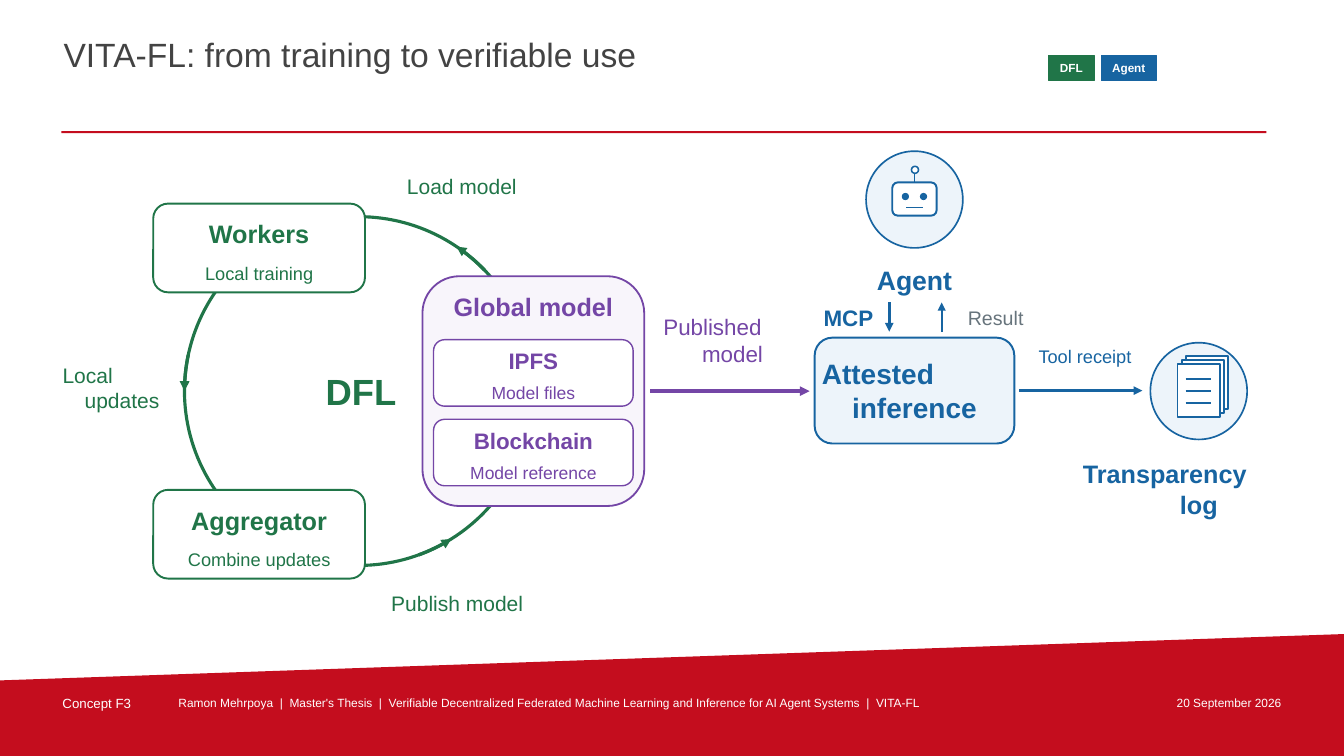
from dataclasses import dataclass
from itertools import pairwise
from math import cos, radians, sin

from lxml.etree import SubElement
from pptx import Presentation
from pptx.dml.color import RGBColor as RGB
from pptx.enum.shapes import MSO_CONNECTOR as Link, MSO_SHAPE as Kind
from pptx.enum.text import MSO_ANCHOR as Anchor, PP_ALIGN as Align
from pptx.oxml.ns import qn
from pptx.util import Inches, Pt


@dataclass(frozen=True)
class Theme:
    font: str = "Arial"
    red: str = "C40D1E"
    ink: str = "434343"
    gray: str = "67747C"
    green: str = "207548"
    blue: str = "1764A1"
    sky: str = "EDF4FA"
    plum: str = "7446A6"
    haze: str = "F8F5FB"
    white: str = "FFFFFF"
    title: float = 24
    hero: float = 26
    lead: float = 20
    name: float = 19
    head: float = 18
    sub: float = 16
    label: float = 15
    reply: float = 14
    note: float = 13
    small: float = 12.5
    mark: float = 9.5
    foot: float = 8.5
    tag: float = 8.4


T = Theme()


# Basic parts
def write(frame, words, size, color, bold=False, align=Align.CENTER,
          anchor=Anchor.MIDDLE, inset=0.0):
    """Fill a frame; in a stepped label every row but the last sits left."""
    frame.word_wrap = True
    frame.vertical_anchor = anchor
    frame.margin_left = frame.margin_right = Inches(inset)
    frame.margin_top = frame.margin_bottom = Inches(inset)
    rows = words.split("\n")
    for i, row in enumerate(rows):
        para = frame.paragraphs[0] if i == 0 else frame.add_paragraph()
        para.text = row
        para.alignment = align if i == len(rows) - 1 else Align.LEFT
        font = para.font
        font.name, font.size, font.bold = T.font, Pt(size), bold
        font.color.rgb = RGB.from_string(color)


def text(page, x, y, w, h, words, size, color, **style):
    box = page.shapes.add_textbox(Inches(x), Inches(y), Inches(w), Inches(h))
    write(box.text_frame, words, size, color, **style)


def paint(item, fill, edge=None, width=1.0):
    item.shadow.inherit = False
    item.fill.solid()
    item.fill.fore_color.rgb = RGB.from_string(fill)
    if edge:
        item.line.color.rgb = RGB.from_string(edge)
        item.line.width = Pt(width)
    else:
        item.line.fill.background()


def shape(page, kind, x, y, w, h, fill, edge=None, width=1.0):
    item = page.shapes.add_shape(kind, Inches(x), Inches(y), Inches(w), Inches(h))
    paint(item, fill, edge, width)
    return item


def line(page, start, end, color, width, head=False):
    ends = [Inches(v) for v in (*start, *end)]
    item = page.shapes.add_connector(Link.STRAIGHT, *ends)
    item.line.color.rgb = RGB.from_string(color)
    item.line.width = Pt(width)
    props = item._element.spPr
    if head:
        SubElement(props.find(qn("a:ln")), qn("a:tailEnd"), type="triangle")
    SubElement(props, qn("a:effectLst"))


# Title, tags and rule
def header(page, x, y, w):
    title = page.shapes.title
    title.left, title.top = Inches(x), Inches(y)
    title.width, title.height = Inches(9.65), Inches(0.62)
    write(title.text_frame, "VITA-FL: from training to verifiable use", T.title,
          T.ink, align=Align.LEFT, anchor=Anchor.TOP, inset=0.02)
    shape(page, Kind.RECTANGLE, x, y + 0.98, w, 0.02, T.red)
    for dx, wide, words, color in ((9.79, 0.45, "DFL", T.green),
                                   (10.31, 0.55, "Agent", T.blue)):
        tag = shape(page, Kind.RECTANGLE, x + dx, y + 0.23, wide, 0.25,
                    color, color, 0.55)
        write(tag.text_frame, words, T.tag, T.white, bold=True)


# Slanted footer band
def footer(page, y, w, h):
    edge = [(w, y), (w, y + h), (0, y + h)]
    pen = page.shapes.build_freeform(0, Inches(y + 0.46))
    pen.add_line_segments([(Inches(a), Inches(b)) for a, b in edge])
    paint(pen.convert_to_shape(), T.red)
    for x, wide, words, size, align in (
            (0.6, 1, "Concept F3", T.mark, Align.LEFT),
            (1.75, 9.35, "Ramon Mehrpoya  |  Master's Thesis  |  Verifiable "
             "Decentralized Federated Machine Learning and Inference for AI "
             "Agent Systems  |  VITA-FL", T.foot, Align.LEFT),
            (11.2, 1.53, "20 September 2026", T.foot, Align.RIGHT)):
        text(page, x, y + 0.59, wide, 0.22, words, size, T.white,
             align=align, anchor=Anchor.TOP, inset=0.02)


# Training loop around a ring
def cycle(page, x, y, size):
    r = size / 2
    mx, my = x + r, y + r
    shape(page, Kind.OVAL, x, y, size, size, T.white, T.green, 2.25)
    sweep, steps = 12, 8
    for first in (192, 70, -44):
        turns = [radians(first - sweep * i / steps) for i in range(steps + 1)]
        dots = [(mx + r * cos(a), my + r * sin(a)) for a in turns]
        for i, (start, end) in enumerate(pairwise(dots), 1):
            line(page, start, end, T.green, 2.35, head=i == steps)
    for top, name, task in ((y - 0.13, "Workers", "Local training"),
                            (y + 2.71, "Aggregator", "Combine updates")):
        left = x - 0.31
        shape(page, Kind.ROUNDED_RECTANGLE, left, top, 2.1, 0.88,
              T.white, T.green, 1.35)
        text(page, left + 0.06, top + 0.12, 1.98, 0.36, name, T.head, T.green, bold=True)
        text(page, left + 0.06, top + 0.57, 1.98, 0.24, task, T.note, T.green)
    text(page, mx - 0.59, my - 0.23, 1.22, 0.46, "DFL", T.hero, T.green, bold=True)
    for dx, dy, w, h, words in ((-1.21, 1.36, 1.18, 0.67, "Local\nupdates"),
                                (1.84, -0.47, 1.82, 0.34, "Load model"),
                                (1.64, 3.67, 2.13, 0.32, "Publish model")):
        text(page, x + dx, y + dy, w, h, words, T.label, T.green)


# Global model and its two stores
def model(page, x, y, w, h):
    shape(page, Kind.ROUNDED_RECTANGLE, x, y, w, h, T.haze, T.plum, 1.3)
    text(page, x + 0.08, y + 0.12, w - 0.16, 0.35, "Global model", T.head, T.plum, bold=True)
    stores = (("IPFS", "Model files"), ("Blockchain", "Model reference"))
    for i, (name, role) in enumerate(stores):
        top = y + 0.63 + 0.79 * i
        shape(page, Kind.ROUNDED_RECTANGLE, x + 0.11, top, w - 0.22, 0.66,
              T.white, T.plum, 1)
        text(page, x + 0.19, top + 0.05, w - 0.38, 0.32, name, T.sub, T.plum, bold=True)
        text(page, x + 0.19, top + 0.42, w - 0.38, 0.21, role, T.small, T.plum)
    mid = y + h / 2
    line(page, (x + w + 0.06, mid), (x + w + 1.64, mid), T.plum, 2.3, True)
    text(page, x + w + 0.19, y + 0.31, 1.37, 0.65, "Published\nmodel", T.sub, T.plum)


# Robot in a circle
def robot(page, x, y, size):
    mid = x + size / 2
    shape(page, Kind.OVAL, x, y, size, size, T.sky, T.blue, 1.2)
    shape(page, Kind.ROUNDED_RECTANGLE, mid - 0.22, y + 0.31, 0.44, 0.33,
          T.white, T.blue, 1.4)
    for dx in (-0.12, 0.06):
        shape(page, Kind.OVAL, mid + dx, y + 0.42, 0.06, 0.06, T.blue, T.blue, 0.8)
    line(page, (mid - 0.08, y + 0.56), (mid + 0.08, y + 0.56), T.blue, 1.2)
    line(page, (mid, y + 0.31), (mid, y + 0.22), T.blue, 1.2)
    shape(page, Kind.OVAL, mid - 0.03, y + 0.15, 0.07, 0.07, T.white, T.blue, 1.1)
    text(page, mid - 1.15, y + 1.09, 2.3, 0.38, "Agent", T.name, T.blue, bold=True)


# Attested inference with its calls
def infer(page, x, y, w, h):
    box = shape(page, Kind.ROUNDED_RECTANGLE, x, y, w, h, T.sky, T.blue, 1.4)
    write(box.text_frame, "Attested\ninference", T.lead, T.blue, bold=True, inset=0.02)
    top, low, mid = y - 0.35, y - 0.06, y + h / 2
    line(page, (x + 0.74, top), (x + 0.74, low), T.blue, 2.1, True)
    line(page, (x + 1.26, low), (x + 1.26, top), T.blue, 1.5, True)
    text(page, x + 0.01, top, 0.65, 0.3, "MCP", T.sub, T.blue, bold=True)
    text(page, x + 1.4, top, 0.79, 0.3, "Result", T.reply, T.gray)
    line(page, (x + w + 0.05, mid), (x + w + 1.27, mid), T.blue, 2.1, True)
    text(page, x + w + 0.09, y + 0.02, 1.22, 0.33, "Tool receipt", T.note, T.blue)


# Stack of sheets in a circle
def log(page, x, y, size):
    mid = x + size / 2
    shape(page, Kind.OVAL, x, y, size, size, T.sky, T.blue, 1.2)
    for i in range(3):
        shape(page, Kind.RECTANGLE, x + 0.35 - 0.04 * i, y + 0.13 + 0.04 * i,
              0.42, 0.53, T.white, T.blue, 1.2)
    for i in range(3):
        row = y + 0.36 + 0.12 * i
        line(page, (x + 0.35, row), (x + 0.6, row), T.blue, 1.2)
    text(page, mid - 1.15, y + 1.09, 2.3, 0.72, "Transparency\nlog",
         T.head, T.blue, bold=True)


def main():
    deck = Presentation()
    deck.slide_width, deck.slide_height = Inches(13.33), Inches(7.5)
    page = deck.slides.add_slide(deck.slide_layouts[5])
    footer(page, 6.29, 13.33, 1.21)
    header(page, 0.61, 0.32, 11.95)
    cycle(page, 1.83, 2.15, 3.46)
    model(page, 4.19, 2.74, 2.2, 2.28)
    infer(page, 8.08, 3.35, 1.98, 1.05)
    robot(page, 8.59, 1.5, 0.96)
    log(page, 11.41, 3.4, 0.96)
    deck.save("out.pptx")


if __name__ == "__main__":
    main()
